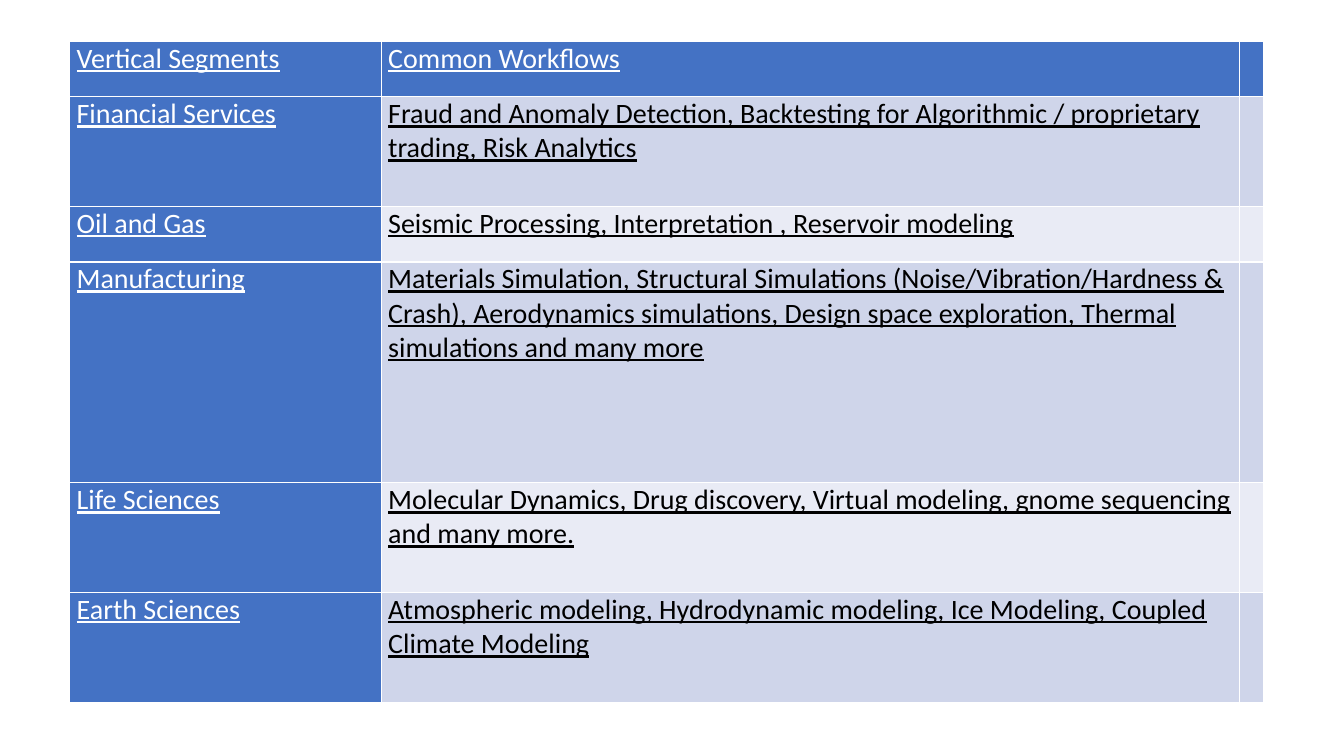
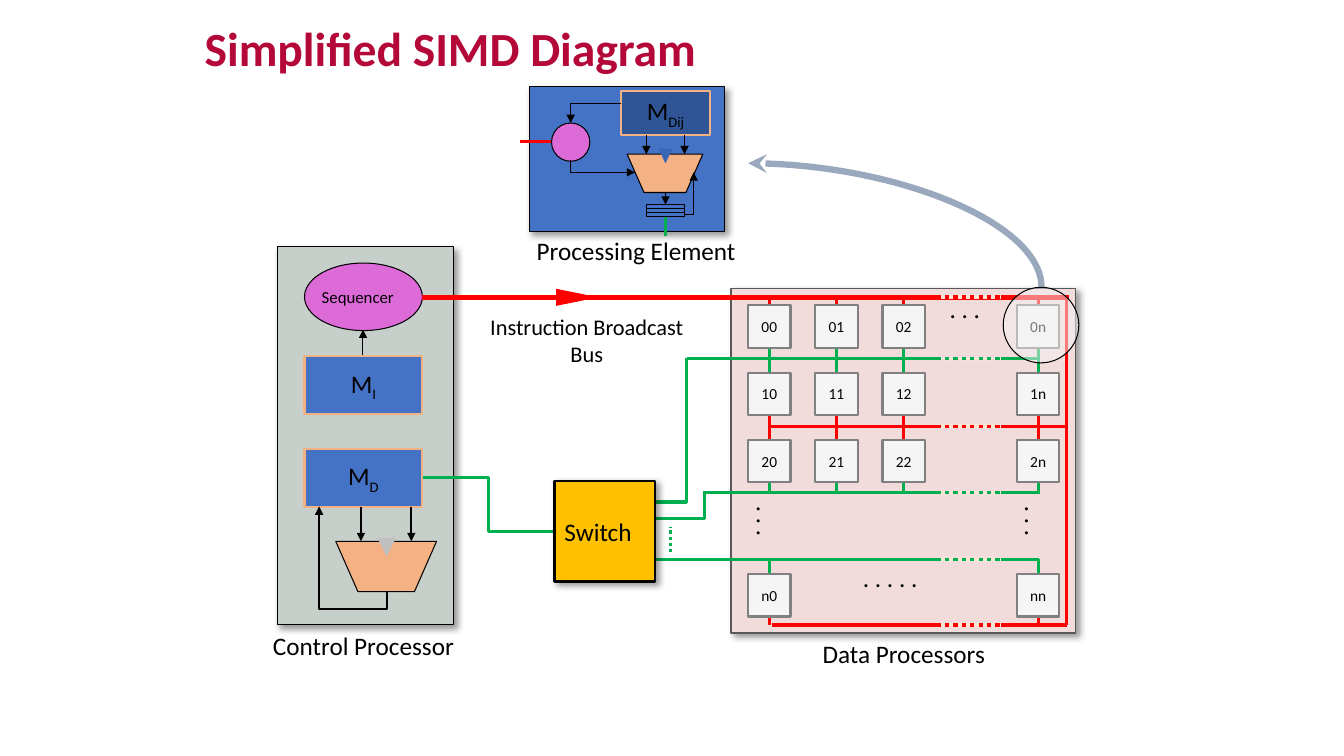
from dataclasses import dataclass

from lxml import etree
from pptx import Presentation
from pptx import util as u
from pptx.dml import color
from pptx.enum import dml, shapes, text
from pptx.oxml import ns


# Shared look of the slides
@dataclass(frozen=True)
class Theme:
    font: str = "Calibri"
    title: str = "B30838"
    black: str = "000000"
    white: str = "FFFFFF"
    blue: str = "4472C4"
    deep_blue: str = "2F5597"
    notch_blue: str = "3965B5"
    bands: tuple = ("CFD5EA", "E9EBF5")
    peach: str = "F4B183"
    pale_peach: str = "FBE5D6"
    violet: str = "DC6AD7"
    gold: str = "FFC000"
    grey_green: str = "C7CFCB"
    pink: str = "F2DCDB"
    cell: str = "F5F5F5"
    lens: str = "F2F2F2"
    silver: str = "BFBFBF"
    grey: str = "808080"
    dark_grey: str = "595959"
    pointer: str = "99A8BD"
    green: str = "00B050"
    red: str = "FF0000"
    title_size: int = 34
    table_size: int = 20
    label_size: int = 18
    caption_size: int = 16
    small_size: int = 12
    cell_size: int = 11
    hair: float = 0.75
    medium: float = 1.5
    wire: float = 2.25


THEME = Theme()
SHAPE = shapes.MSO_SHAPE
LEFT, CENTER = text.PP_ALIGN.LEFT, text.PP_ALIGN.CENTER
TOP, MIDDLE = text.MSO_ANCHOR.TOP, text.MSO_ANCHOR.MIDDLE

WORKFLOWS = [
    ("Vertical Segments", "Common Workflows"),
    ("Financial Services", "Fraud and Anomaly Detection, Backtesting for Algorithmic / "
                           "proprietary trading, Risk Analytics"),
    ("Oil and Gas", "Seismic Processing, Interpretation , Reservoir modeling"),
    ("Manufacturing", "Materials Simulation, Structural Simulations "
                      "(Noise/Vibration/Hardness & Crash), Aerodynamics simulations, "
                      "Design space exploration, Thermal simulations and many more"),
    ("Life Sciences", "Molecular Dynamics, Drug discovery, Virtual modeling, "
                      "gnome sequencing and many more."),
    ("Earth Sciences", "Atmospheric modeling, Hydrodynamic modeling, Ice Modeling, "
                       "Coupled Climate Modeling"),
]
COLUMN_WIDTHS = (3.09, 8.51, 0.24)
ROW_HEIGHTS = (0.55, 1.09, 0.55, 2.19, 1.09, 1.09)

# Processor grid: index 3 is left open for the dots, index 4 is "n"
GRID_LEFT, GRID_TOP, GRID_STEP, CELL = 7.42, 3.03, 2 / 3, 0.42
GRID_NAMES = {0: "0", 1: "1", 2: "2", 4: "n"}
TAP = 0.25


# Helpers
def inches(*values):
    return [u.Inches(value) for value in values]


def rgb(value):
    return color.RGBColor.from_string(value)


def set_values(target, **values):
    for name, value in values.items():
        setattr(target, name, value)


def add_xml(parent, tag, **attributes):
    values = {name: str(value) for name, value in attributes.items()}
    return etree.SubElement(parent, ns.qn(tag), values)


def fill_solid(target, value):
    target.fill.solid()
    target.fill.fore_color.rgb = rgb(value)


def write(frame, content, size, subscript="", ink=THEME.black, align=LEFT,
          anchor=TOP, wrap=True, inset=None, **font):
    set_values(frame, word_wrap=wrap, vertical_anchor=anchor,
               auto_size=text.MSO_AUTO_SIZE.NONE)
    if inset is not None:
        set_values(frame, **dict.fromkeys(
            ("margin_left", "margin_right", "margin_top", "margin_bottom"), u.Inches(inset)))
    for index, line in enumerate(content.split("\n")):
        paragraph = frame.add_paragraph() if index else frame.paragraphs[0]
        paragraph.alignment = align
        for part in filter(None, (line, subscript)):
            run = paragraph.add_run()
            run.text = part
            set_values(run.font, name=THEME.font, size=u.Pt(size), **font)
            run.font.color.rgb = rgb(ink)
            if part is subscript:
                run._r.get_or_add_rPr().set("baseline", "-25000")


def add_box(container, kind, box, fill, outline=THEME.black, width=THEME.hair,
            rotation=0, shadow=False, adjust=None):
    shape = container.add_shape(kind, *inches(*box))
    shape.shadow.inherit = False
    shape.rotation = rotation
    fill_solid(shape, fill)
    if outline:
        shape.line.color.rgb = rgb(outline)
        shape.line.width = u.Pt(width)
    else:
        shape.line.fill.background()
    if adjust is not None:
        shape.adjustments[0] = adjust
    if shadow:
        effects = shape._element.spPr.find(ns.qn("a:effectLst"))
        outer = add_xml(effects, "a:outerShdw", blurRad=u.Pt(5), dist=u.Pt(3),
                        dir=45 * 60000, algn="tl", rotWithShape=0)
        add_xml(add_xml(outer, "a:srgbClr", val=THEME.black), "a:alpha", val=40000)
    return shape


def add_label(container, box, content, size=THEME.label_size, align=CENTER, rotation=0):
    shape = container.add_textbox(*inches(*box))
    shape.rotation = rotation
    write(shape.text_frame, content, size, align=align, wrap=False)


def add_memory(container, box, subscript, fill=THEME.blue):
    shape = add_box(container, SHAPE.RECTANGLE, box, fill, THEME.peach, THEME.medium)
    write(shape.text_frame, "M", THEME.label_size, subscript, align=CENTER,
          anchor=MIDDLE, inset=0)


def add_line(container, start, end, ink=THEME.black, width=THEME.hair, head=None,
             dotted=False, kind=shapes.MSO_CONNECTOR.STRAIGHT):
    connector = container.add_connector(kind, *inches(*start, *end))
    connector.line.color.rgb = rgb(ink)
    connector.line.width = u.Pt(width)
    if dotted:
        connector.line.dash_style = dml.MSO_LINE.ROUND_DOT
    if head:
        add_xml(connector.line._get_or_add_ln(), "a:tailEnd", type=head)
    add_xml(connector._element.spPr, "a:effectLst")
    return connector


def add_bend(container, box, preset, rotation=0, flip="", adjust=None, **style):
    """Bent or curved connector in an unrotated frame, turned afterwards."""
    left, top, width, height = box
    xs, ys = [left, left + width], [top, top + height]
    if flip == "h":
        xs.reverse()
    if flip == "v":
        ys.reverse()
    connector = add_line(container, (xs[0], ys[0]), (xs[1], ys[1]),
                         kind=shapes.MSO_CONNECTOR.ELBOW, **style)
    properties = connector._element.spPr
    properties.find(ns.qn("a:xfrm")).set("rot", str(rotation * 60000))
    geometry = properties.find(ns.qn("a:prstGeom"))
    geometry.set("prst", preset)
    if adjust is not None:
        add_xml(geometry.find(ns.qn("a:avLst")), "a:gd", name="adj1",
                fmla=f"val {round(adjust * 100000)}")


def add_alu(container, box, notch_box, notch_fill):
    add_box(container, SHAPE.TRAPEZOID, box, THEME.peach, rotation=180, adjust=0.44)
    add_box(container, SHAPE.ISOSCELES_TRIANGLE, notch_box, notch_fill, notch_fill,
            rotation=180)


# Slide 1: table of workflows
def style_cell(cell, content, fill, ink):
    set_values(cell, margin_left=u.Inches(0.07), margin_right=u.Inches(0.07),
               margin_top=0, margin_bottom=0)
    properties = cell._tc.get_or_add_tcPr()
    for side in "LRTB":
        border = add_xml(properties, f"a:ln{side}", w=u.Pt(1))
        add_xml(add_xml(border, "a:solidFill"), "a:srgbClr", val=THEME.white)
    fill_solid(cell, fill)
    if content:
        run = cell.text_frame.paragraphs[0].add_run()
        run.text = content
        set_values(run.font, name=THEME.font, size=u.Pt(THEME.table_size), underline=True)
        run.font.color.rgb = rgb(ink)


def build_workflows(presentation):
    slide = presentation.slides.add_slide(presentation.slide_layouts[6])
    frame = slide.shapes.add_table(
        len(ROW_HEIGHTS), len(COLUMN_WIDTHS),
        *inches(0.69, 0.41, sum(COLUMN_WIDTHS), sum(ROW_HEIGHTS)))
    table = frame.table
    for column, width in zip(table.columns, COLUMN_WIDTHS):
        column.width = u.Inches(width)
    for row_index, (row, height) in enumerate(zip(table.rows, ROW_HEIGHTS)):
        row.height = u.Inches(height)
        for column_index, content in enumerate((*WORKFLOWS[row_index], "")):
            heading = row_index == 0 or column_index == 0
            fill = THEME.blue if heading else THEME.bands[(row_index - 1) % 2]
            style_cell(row.cells[column_index], content, fill,
                       THEME.white if heading else THEME.black)


# Slide 2: parts of the SIMD diagram
def build_control_processor(slide):
    group = slide.shapes.add_group_shape().shapes
    add_box(group, SHAPE.RECTANGLE, (2.75, 2.45, 1.75, 3.75), THEME.grey_green, shadow=True)
    for top, subscript in ((3.53, "I"), (4.45, "D")):
        add_memory(group, (3.02, top, 1.17, 0.58), subscript)
    add_alu(group, (3.33, 5.37, 1, 0.5), (3.75, 5.34, 0.17, 0.17), THEME.silver)
    for x in (3.58, 4.08):
        add_line(group, (x, 5.03), (x, 5.37), width=THEME.medium, head="triangle")
    add_bend(group, (3.08, 5.11, 0.84, 0.67), "bentConnector3", 270, "v", -0.21,
             width=THEME.medium, head="triangle")
    sequencer = add_box(group, SHAPE.OVAL, (3.02, 2.61, 1.17, 0.67), THEME.violet)
    write(sequencer.text_frame, "Sequencer", THEME.small_size, anchor=MIDDLE, inset=0)
    add_line(group, (3.6, 3.52), (3.6, 3.27), head="triangle")
    add_label(slide.shapes, (2.6, 6.2, 2.01, 0.4), "Control Processor")


def build_buses(canvas):
    every, outer = (0, 1, 2, 4), (0, 4)
    # colour, height, left end, right end, top of taps, tapped columns, width
    buses = (
        (THEME.green, 3.56, 6.81, 10.31, 3.45, every, THEME.wire),
        (THEME.green, 4.89, 6.97, 10.31, 4.65, every, THEME.wire),
        (THEME.green, 5.55, 6.47, 10.31, 5.55, outer, THEME.wire),
        (THEME.red, 2.95, 4.19, 10.6, 2.95, every, 3.25),
        (THEME.red, 4.23, 7.64, 10.57, 4.11, every, THEME.wire),
        (THEME.red, 6.2, 7.66, 10.58, 5.95, outer, THEME.wire),
    )
    for ink, y, left, right, tap_top, columns, width in buses:
        add_line(canvas, (left, y), (right, y), ink, width)
        for column in columns:
            x = GRID_LEFT + column * GRID_STEP + CELL / 2
            add_line(canvas, (x, tap_top), (x, tap_top + TAP), ink, THEME.wire)
        add_line(canvas, (9.33, y), (9.92, y), THEME.pale_peach, 3, dotted=True)
    add_line(canvas, (10.58, 6.2), (10.58, 2.95), THEME.red, THEME.wire)
    add_box(canvas, SHAPE.ISOSCELES_TRIANGLE, (5.64, 2.74, 0.17, 0.42), THEME.red,
            outline=None, rotation=90)
    add_label(canvas, (4.75, 3.06, 2.14, 0.64), "Instruction Broadcast\nBus",
              THEME.caption_size)


def build_data_processors(canvas):
    for row, row_name in GRID_NAMES.items():
        for column, column_name in GRID_NAMES.items():
            if row == 4 and column in (1, 2):
                continue
            box = (GRID_LEFT + column * GRID_STEP, GRID_TOP + row * GRID_STEP, CELL, CELL)
            cell = add_box(canvas, SHAPE.RECTANGLE, box, THEME.cell, THEME.grey, THEME.medium)
            write(cell.text_frame, row_name + column_name, THEME.cell_size,
                  align=CENTER, anchor=MIDDLE, inset=0)
    for box, dots, rotation in (((9.32, 2.86, 0.51, 0.4), ". . .", 0),
                                ((8.46, 5.53, 0.75, 0.4), ". . . . .", 0),
                                ((7.18, 4.97, 0.51, 0.4), ". . .", 270),
                                ((9.84, 4.97, 0.51, 0.4), ". . .", 270)):
        add_label(canvas, box, dots, align=LEFT, rotation=rotation)
    add_label(canvas, (8.05, 6.28, 1.83, 0.4), "Data Processors")


def build_switch(canvas):
    for start, end in (((6.99, 5.15), (6.99, 4.88)), ((6.99, 5.14), (6.17, 5.14)),
                       ((6.81, 4.98), (6, 4.98)), ((6.81, 4.99), (6.81, 3.55))):
        add_line(canvas, start, end, THEME.green, THEME.wire)
    add_bend(canvas, (4.2, 4.74, 1.29, 0.53), "bentConnector3", adjust=0.5,
             ink=THEME.green, width=THEME.wire)
    switch = add_box(canvas, SHAPE.RECTANGLE, (5.5, 4.77, 1, 1), THEME.gold,
                     width=THEME.medium, shadow=True)
    write(switch.text_frame, "Switch", THEME.label_size, anchor=MIDDLE)
    add_line(canvas, (6.65, 5.48), (6.65, 5.23), THEME.green, THEME.wire, dotted=True)


def build_processing_element(slide):
    group = slide.shapes.add_group_shape().shapes
    add_box(group, SHAPE.RECTANGLE, (5.25, 0.86, 1.94, 1.44), THEME.blue, shadow=True)
    add_memory(group, (6.16, 0.9, 0.88, 0.44), "Dij", THEME.deep_blue)
    add_alu(group, (6.22, 1.53, 0.75, 0.38), (6.54, 1.48, 0.12, 0.13), THEME.notch_blue)
    add_box(group, SHAPE.OVAL, (5.47, 1.22, 0.38, 0.38), THEME.violet)
    for x, top, bottom in ((6.41, 1.34, 1.53), (6.79, 1.34, 1.53), (6.6, 1.9, 2.03)):
        add_line(group, (x, top), (x, bottom), head="triangle")
    for box, rotation, flip in (((5.66, 1.03, 0.5, 0.19), 180, "v"),
                                ((5.92, 1.33, 0.12, 0.64), 270, "h"),
                                ((6.79, 1.71, 0.09, 0.42), 0, "v")):
        add_bend(group, box, "bentConnector2", rotation, flip, head="triangle")
    for register in range(3):
        add_box(group, SHAPE.RECTANGLE, (6.41, 2.03 + register * 0.04, 0.38, 0.04), THEME.blue)
    add_line(group, (5.16, 1.4), (5.47, 1.4), THEME.red, THEME.wire)
    add_line(group, (6.6, 2.34), (6.6, 2.15), THEME.green, THEME.wire)
    add_label(slide.shapes, (5.21, 2.29, 2.2, 0.4), "Processing Element")


def build_zoom(canvas):
    add_bend(canvas, (8.26, 0.78, 1.23, 2.91), "curvedConnector2", 270, "v",
             ink=THEME.pointer, width=4.5, head="stealth")
    lens = add_box(canvas, SHAPE.OVAL, (9.95, 2.85, 0.75, 0.75), THEME.lens)
    tint = lens._element.spPr.find(ns.qn("a:solidFill"))[0]
    add_xml(tint, "a:alpha", val=50000)


def build_simd(presentation):
    slide = presentation.slides.add_slide(presentation.slide_layouts[5])
    title = slide.shapes.title
    set_values(title, **dict(zip(("left", "top", "width", "height"),
                                 inches(1.93, 0.14, 6.64, 0.61))))
    write(title.text_frame, "Simplified SIMD Diagram", THEME.title_size,
          ink=THEME.title, bold=True)
    canvas = slide.shapes
    build_control_processor(slide)
    add_box(canvas, SHAPE.RECTANGLE, (7.25, 2.86, 3.42, 3.42), THEME.pink,
            THEME.dark_grey, 1, shadow=True)
    build_buses(canvas)
    build_switch(canvas)
    build_data_processors(canvas)
    build_processing_element(slide)
    build_zoom(canvas)


def main():
    presentation = Presentation()
    set_values(presentation, slide_width=u.Inches(13.33), slide_height=u.Inches(7.5))
    build_workflows(presentation)
    build_simd(presentation)
    presentation.save("out.pptx")


if __name__ == "__main__":
    main()
